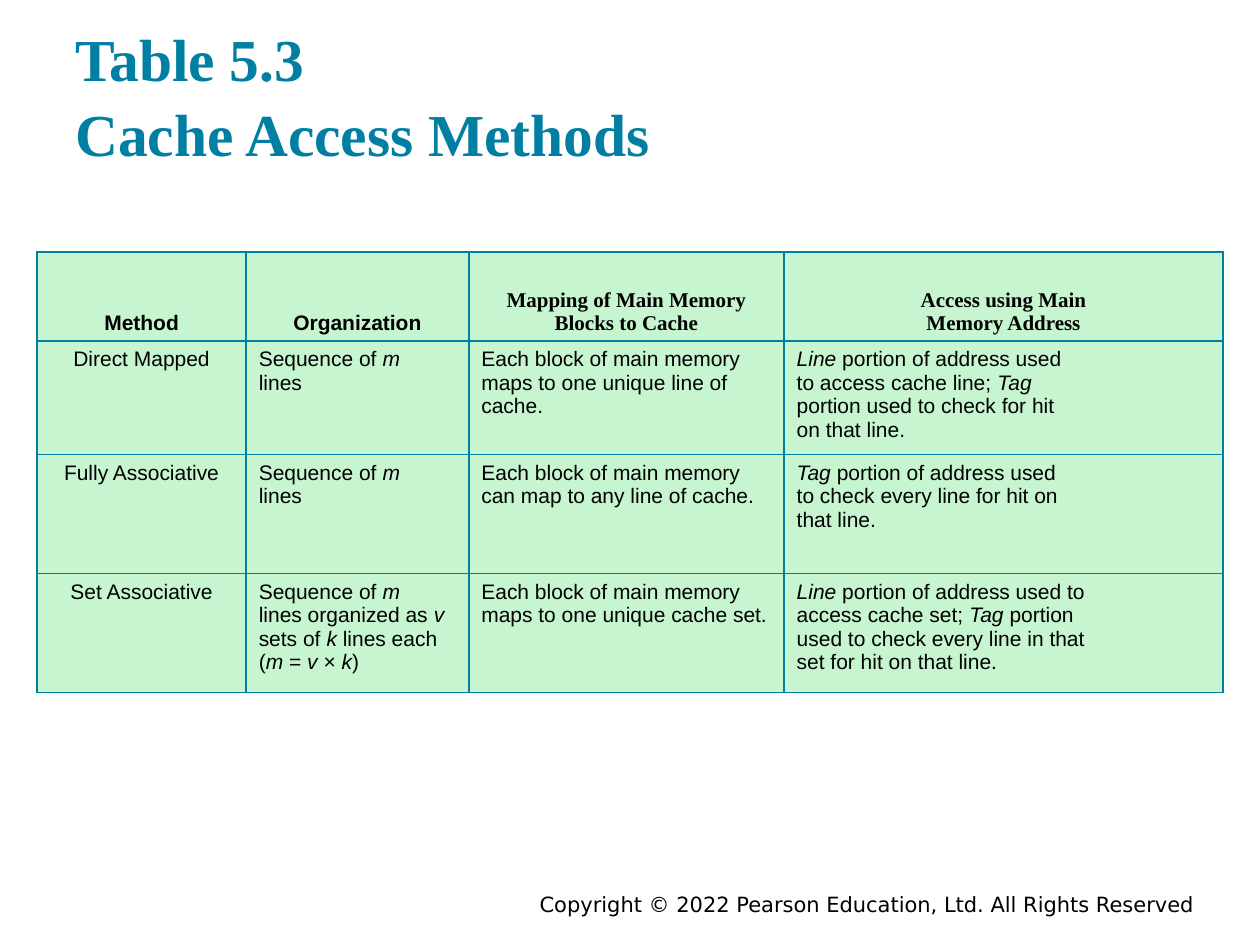
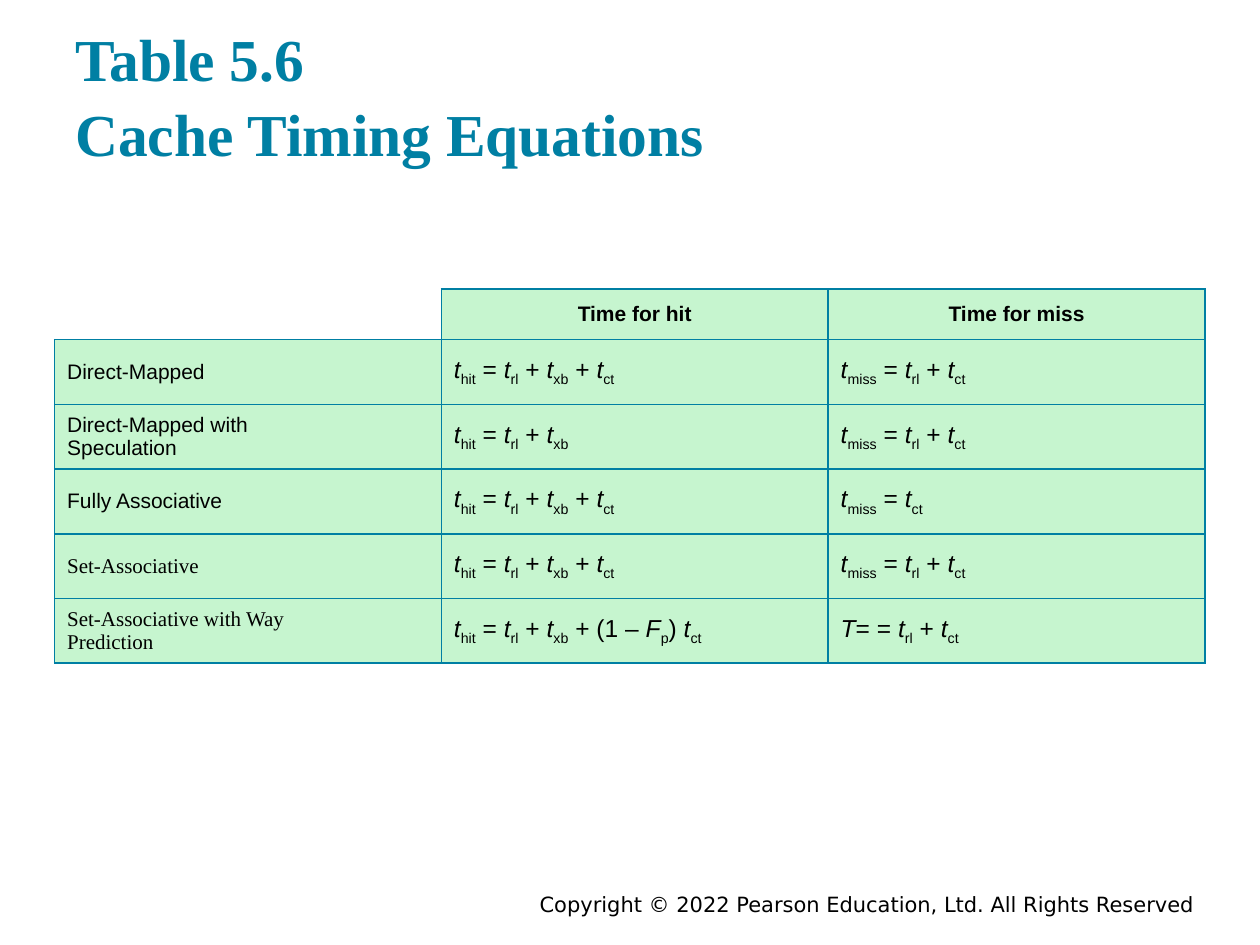
from itertools import product

from lxml import etree
from pptx import Presentation
from pptx.dml.color import RGBColor
from pptx.enum import text
from pptx.oxml import ns
from pptx.util import Pt

TEAL = RGBColor(0x00, 0x7F, 0xA3)
MINT = RGBColor(0xC6, 0xF5, 0xCF)
BLACK = RGBColor(0x00, 0x00, 0x00)
SANS, SERIF, FOOTER_FONT = "Arial", "Times New Roman", "DejaVu Sans"
LEFT, CENTER, RIGHT = (text.PP_ALIGN.LEFT, text.PP_ALIGN.CENTER,
                       text.PP_ALIGN.RIGHT)
TOP, MIDDLE, BOTTOM = (text.MSO_ANCHOR.TOP, text.MSO_ANCHOR.MIDDLE,
                       text.MSO_ANCHOR.BOTTOM)

# Boxes: left, top, width, height in points
TITLE_BOX = (36, 17.28, 648, 86.4)
FOOTER_BOX = (126, 506.16, 563.76, 15.84)
COPYRIGHT = "Copyright © 2022 Pearson Education, Ltd. All Rights Reserved"

# In cell text, *word* is italic and _word_ is a subscript.
ACCESS_METHODS = [
    ["Method", "Organization", "Mapping of Main Memory\nBlocks to Cache",
     "Access using Main\nMemory Address"],
    ["Direct Mapped", "Sequence of *m*\nlines",
     "Each block of main memory\nmaps to one unique line of\ncache.",
     "*Line* portion of address used\nto access cache line; *Tag*\n"
     "portion used to check for hit\non that line."],
    ["Fully Associative", "Sequence of *m*\nlines",
     "Each block of main memory\ncan map to any line of cache.",
     "*Tag* portion of address used\nto check every line for hit on\n"
     "that line."],
    ["Set Associative",
     "Sequence of *m*\nlines organized as *v* sets of *k* lines each\n"
     "(*m* = *v* × *k*)",
     "Each block of main memory\nmaps to one unique cache set.",
     "*Line* portion of address used to\naccess cache set; *Tag* portion\n"
     "used to check every line in that\nset for hit on that line."],
]

HIT = "*t*_hit_ = *t*_rl_ + *t*_xb_"
FULL_HIT = HIT + " + *t*_ct_"
MISS = "*t*_miss_ = *t*_rl_ + *t*_ct_"
TIMING_EQUATIONS = [
    ["", "Time for hit", "Time for miss"],
    ["Direct-Mapped", FULL_HIT, MISS],
    ["Direct-Mapped with\nSpeculation", HIT, MISS],
    ["Fully Associative", FULL_HIT, "*t*_miss_ = *t*_ct_"],
    ["Set-Associative", FULL_HIT, MISS],
    ["Set-Associative with Way\nPrediction",
     HIT + " + (1 – *F*_p_) *t*_ct_", "*T*= = *t*_rl_ + *t*_ct_"],
]


def style_paragraph(paragraph, size, font, color, bold=False, align=LEFT):
    paragraph.alignment = align
    paragraph.font.size = Pt(size)
    paragraph.font.name = font
    paragraph.font.color.rgb = color
    paragraph.font.bold = bold


def add_marked_runs(paragraph, marked):
    """Split the text at its marks and add one run for each piece."""
    mark, piece = "", ""
    for char in marked + "\n":
        if char not in "*_\n":
            piece += char
            continue
        if piece:
            run = paragraph.add_run()
            run.text = piece
            if mark == "*":
                run.font.italic = True
            elif mark == "_":
                run.font._element.set("baseline", "-25000")
        mark, piece = ("" if mark else char), ""


def add_text_box(slide, box, content, inset, anchor, **style):
    frame = slide.shapes.add_textbox(*map(Pt, box)).text_frame
    frame.word_wrap = True
    frame.vertical_anchor = anchor
    frame.margin_left = frame.margin_right = Pt(7.2)
    frame.margin_top = frame.margin_bottom = Pt(inset)
    frame.text = content
    paragraph = frame.paragraphs[0]
    style_paragraph(paragraph, **style)
    return paragraph


def add_title(slide, title):
    paragraph = add_text_box(slide, TITLE_BOX, title, 7.2, BOTTOM, size=34,
                             font=SERIF, color=TEAL, bold=True)
    paragraph.line_spacing = 1.05


def add_footer(slide):
    add_text_box(slide, FOOTER_BOX, COPYRIGHT, 3.6, TOP, size=12,
                 font=FOOTER_FONT, color=BLACK, align=RIGHT)


def set_borders(cell, ruled_sides="LRTB"):
    properties = cell._tc.get_or_add_tcPr()
    for side in "LRTB":
        line = etree.SubElement(properties, ns.qn(f"a:ln{side}"), w="12700")
        if side in ruled_sides:
            fill = etree.SubElement(line, ns.qn("a:solidFill"))
            etree.SubElement(fill, ns.qn("a:srgbClr"), val=str(TEAL))
        else:
            etree.SubElement(line, ns.qn("a:noFill"))


def fill_cell(cell, content, anchor, **style):
    set_borders(cell)
    cell.fill.solid()
    cell.fill.fore_color.rgb = MINT
    cell.vertical_anchor = anchor
    frame = cell.text_frame
    for index, line in enumerate(content.split("\n")):
        paragraph = frame.add_paragraph() if index else frame.paragraphs[0]
        style_paragraph(paragraph, color=BLACK, **style)
        add_marked_runs(paragraph, line)


def add_grid(slide, left, top, widths, heights):
    table = slide.shapes.add_table(
        len(heights), len(widths), Pt(left), Pt(top),
        Pt(sum(widths)), Pt(sum(heights))).table
    table.first_row = table.horz_banding = False
    for column, width in zip(table.columns, widths):
        column.width = Pt(width)
    for row, height in zip(table.rows, heights):
        row.height = Pt(height)
    return table


def add_access_table(slide, left, top):
    table = add_grid(slide, left, top, [119.5, 127.2, 180.2, 250.8],
                     [51, 57, 68, 68])
    for row, column in product(range(4), range(4)):
        header = row == 0
        fill_cell(table.cell(row, column), ACCESS_METHODS[row][column],
                  BOTTOM if header else TOP, size=12, bold=header,
                  font=SERIF if header and column > 1 else SANS,
                  align=CENTER if header or column == 0 else LEFT)


def add_timing_table(slide, left, top):
    table = add_grid(slide, left, top, [221, 221, 215.5],
                     [25] + [37] * 5)
    for row, column in product(range(6), range(3)):
        cell = table.cell(row, column)
        header, label = row == 0, column == 0
        if header and label:  # empty corner
            set_borders(cell, "RB")
            cell.fill.background()
            continue
        fill_cell(cell, TIMING_EQUATIONS[row][column], MIDDLE,
                  size=12 if header or label else 14, bold=header,
                  font=SERIF if label and row > 3 else SANS,
                  align=CENTER if header else LEFT)


def add_table_slide(deck, title, add_table, left, top):
    slide = deck.slides.add_slide(deck.slide_layouts[6])
    add_footer(slide)
    add_table(slide, left, top)
    add_title(slide, title)


def main():
    deck = Presentation()
    deck.slide_width, deck.slide_height = Pt(720), Pt(540)
    add_table_slide(deck, "Table 5.3\vCache Access Methods",
                    add_access_table, 21.2, 144)
    add_table_slide(deck, "Table 5.6\vCache Timing Equations",
                    add_timing_table, 31.2, 165.2)
    deck.save("out.pptx")


if __name__ == "__main__":
    main()
